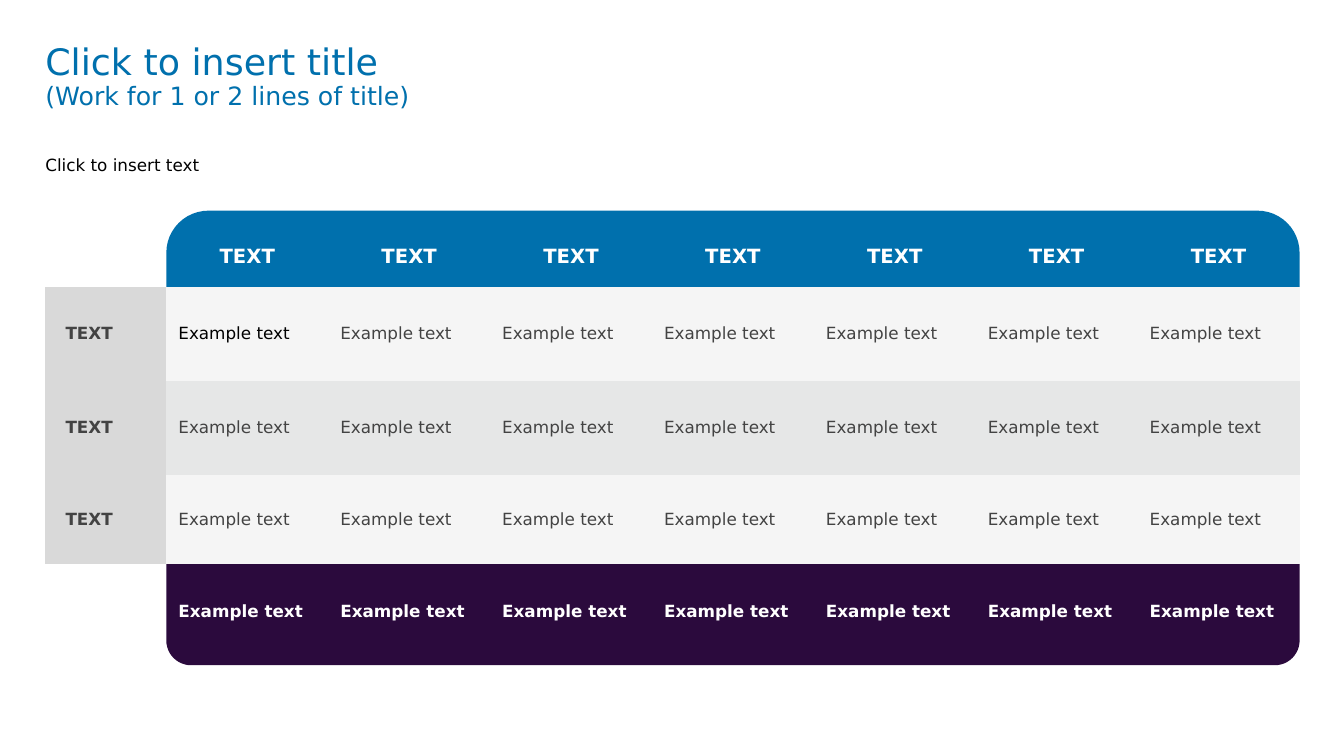
import pptx
import pptx.dml.color
import pptx.enum.shapes
import pptx.enum.text
import pptx.util

RGBColor = pptx.dml.color.RGBColor
BLUE = RGBColor(0x00, 0x70, 0xAD)
PURPLE = RGBColor(0x2B, 0x0A, 0x3D)
BLACK = RGBColor(0x00, 0x00, 0x00)
WHITE = RGBColor(0xFF, 0xFF, 0xFF)
TEXT_GRAY = RGBColor(0x43, 0x43, 0x43)
LABEL_GRAY = RGBColor(0xD9, 0xD9, 0xD9)
LIGHT = RGBColor(0xF5, 0xF5, 0xF5)
MEDIUM = RGBColor(0xE6, 0xE7, 0xE7)

PX = 9144
FONT = "DejaVu Sans"
NO_STYLE_NO_GRID = "{2D5ABB26-0587-4C30-8999-92F81FD0307C}"
COLUMNS = 7
LABEL_WIDTH = 120
BODY_LEFT, BODY_WIDTH = 165, 1124
ROW_HEIGHTS = [58, 93, 93, 89, 93]
BODY_FILLS = [LIGHT, MEDIUM, LIGHT]


class SlideBuilder:
    """Draw styled elements on one slide, with lengths in px."""

    def __init__(self, slide, font):
        self.slide = slide
        self.font = font

    def style(self, p, color, size=None, bold=False, spacing=None):
        p.font.name = self.font
        p.font.color.rgb = color
        p.font.bold = bold
        if size:
            p.font.size = pptx.util.Pt(size)
        p.line_spacing = spacing or pptx.util.Pt(14)

    def band(self, top, height, radius, color):
        s = self.slide.shapes.add_shape(
            pptx.enum.shapes.MSO_SHAPE.ROUNDED_RECTANGLE,
            BODY_LEFT * PX, top * PX, BODY_WIDTH * PX, height * PX)
        s.adjustments[0] = radius
        s.shadow.inherit = False
        s.fill.solid()
        s.fill.fore_color.rgb = color
        s.line.fill.background()

    def text(self, left, top, width, height, lines, color, spacing=None):
        s = self.slide.shapes.add_textbox(left * PX, top * PX, width * PX, height * PX)
        tf = s.text_frame
        tf.word_wrap = True
        tf.margin_left = tf.margin_top = tf.margin_right = tf.margin_bottom = 0
        p = tf.paragraphs[0]
        self.style(p, color, spacing=spacing)
        for i, (line, size) in enumerate(lines):
            if i:
                p.add_line_break()
            r = p.add_run()
            r.text = line
            r.font.size = pptx.util.Pt(size)

    def table(self, left, top, width, row_heights):
        frame = self.slide.shapes.add_table(
            len(row_heights), COLUMNS + 1, left * PX, top * PX,
            width * PX, sum(row_heights) * PX)
        table = frame.table
        table.first_row = table.horz_banding = False
        table._tbl.tblPr[0].text = NO_STYLE_NO_GRID
        for row, height in zip(table.rows, row_heights):
            row.height = height * PX
        for i, column in enumerate(table.columns):
            column.width = BODY_WIDTH * PX // COLUMNS if i else LABEL_WIDTH * PX
        for row in table.rows:
            for cell in row.cells:
                cell.fill.background()
        return table

    def cell(self, cell, text, color, fill=None, size=12, bold=False,
             indent=12, centered=False):
        cell.margin_left, cell.margin_right = indent * PX, 12 * PX
        cell.margin_top = cell.margin_bottom = 0
        cell.vertical_anchor = pptx.enum.text.MSO_ANCHOR.MIDDLE
        if fill is not None:
            cell.fill.solid()
            cell.fill.fore_color.rgb = fill
        p = cell.text_frame.paragraphs[0]
        p.text = text
        if centered:
            p.alignment = pptx.enum.text.PP_ALIGN.CENTER
        self.style(p, color, size, bold)


def main():
    prs = pptx.Presentation()
    prs.slide_width, prs.slide_height = 1333 * PX, 750 * PX
    b = SlideBuilder(prs.slides.add_slide(prs.slide_layouts[6]), FONT)

    b.band(537, 123, 0.2, PURPLE)
    b.band(209, 123, 0.34, BLUE)
    b.text(45, 154, 1197, 55, [("Click to insert text", 12)], BLACK)
    b.text(45, 44, 1197, 94,
           [("Click to insert title", 26), ("(Work for 1 or 2 lines of title)", 18)],
           BLUE, spacing=0.9)

    table = b.table(45, 227, LABEL_WIDTH + BODY_WIDTH, ROW_HEIGHTS)
    last = len(ROW_HEIGHTS) - 1
    for col in range(1, COLUMNS + 1):
        b.cell(table.cell(0, col), "TEXT", WHITE, size=14, bold=True, centered=True)
        b.cell(table.cell(last, col), "Example text", WHITE, bold=True)
    for row, fill in enumerate(BODY_FILLS, 1):
        b.cell(table.cell(row, 0), "TEXT", TEXT_GRAY, LABEL_GRAY, bold=True, indent=20)
        for col in range(1, COLUMNS + 1):
            color = BLACK if row == col == 1 else TEXT_GRAY
            b.cell(table.cell(row, col), "Example text", color, fill)

    prs.save("out.pptx")


if __name__ == "__main__":
    main()
